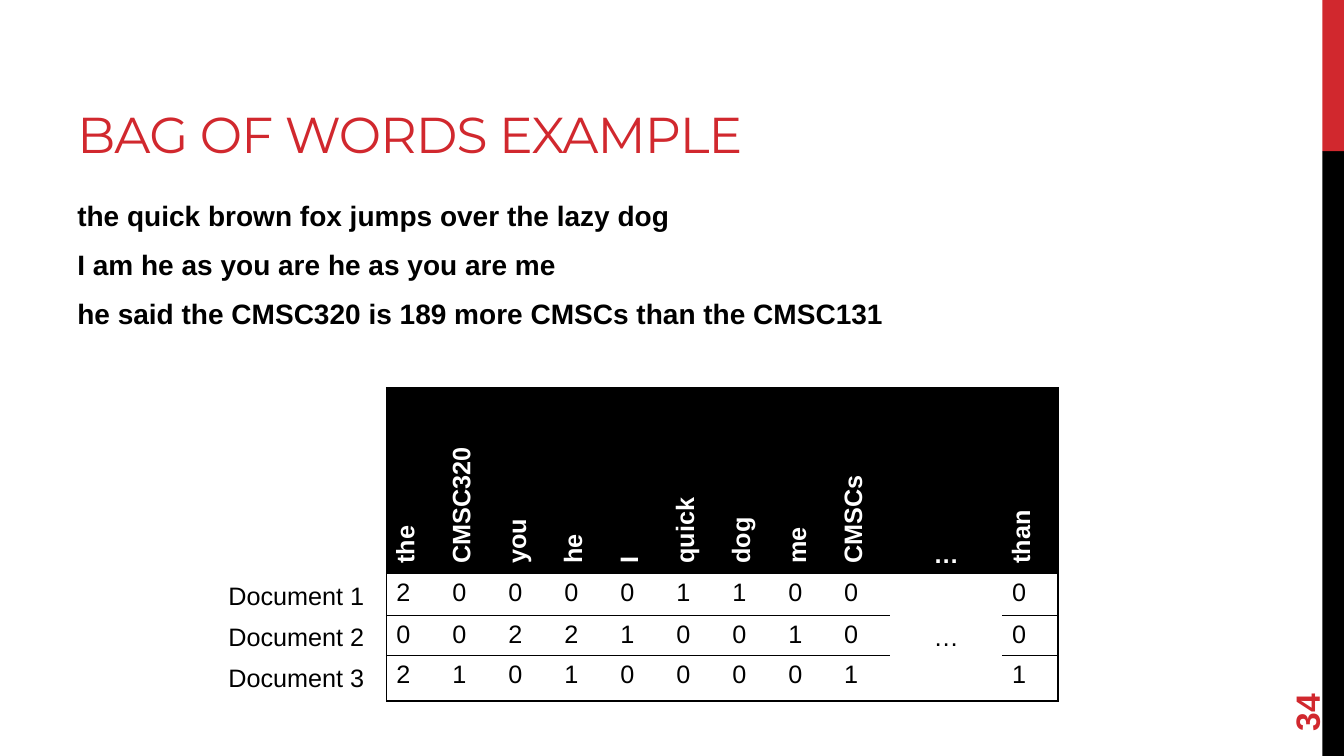
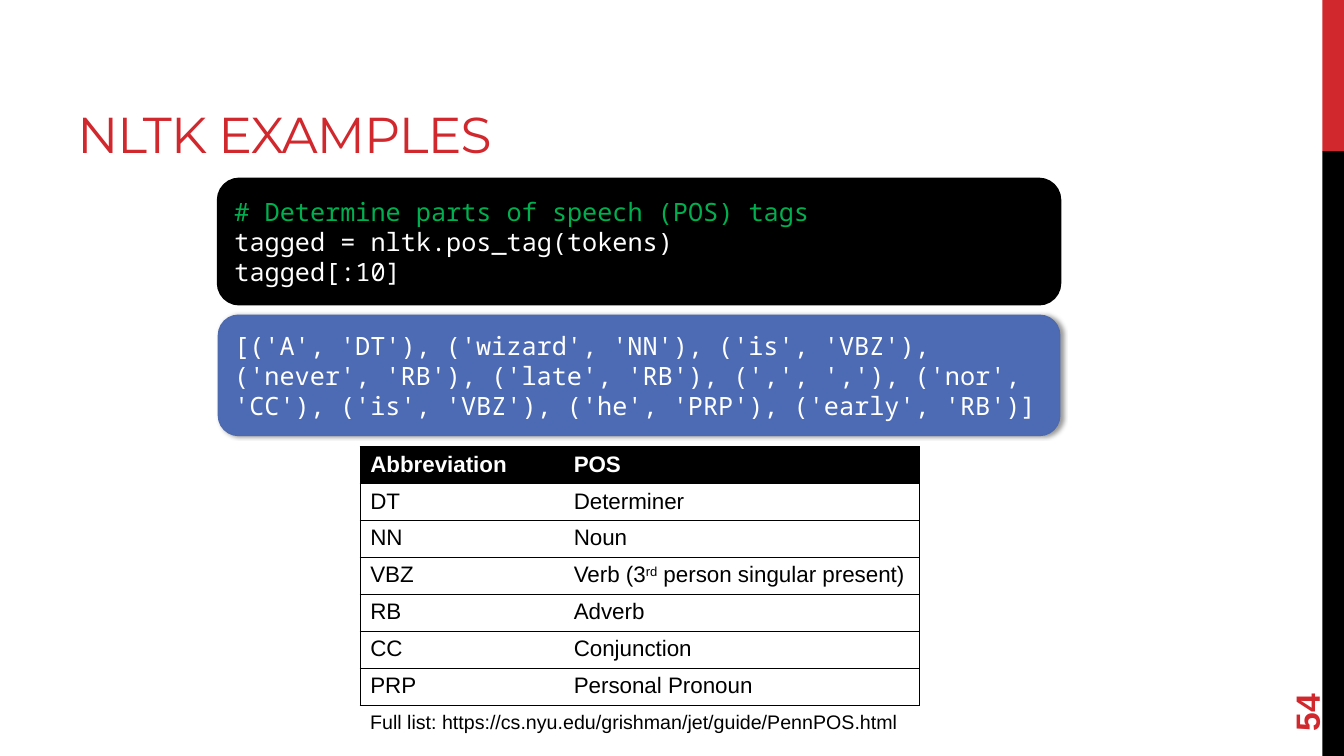
import pptx
import pptx.util
import pptx.dml.color
import pptx.enum.shapes
import pptx.enum.text
import pptx.oxml.ns
from lxml import etree

WIDE, HIGH = pptx.util.Inches(13.33), pptx.util.Inches(7.5)
HUES = {"red": "D1282E", "black": "000000", "white": "FFFFFF",
        "green": "00B050", "blue": "4D6BB5", "edge": "4E6AAE"}
SANS, HEAD, MONO = "Arial", "Montserrat", "Noto Sans Mono"
SHAPE = pptx.enum.shapes.MSO_SHAPE
ALIGN = pptx.enum.text.PP_ALIGN
ANCHOR = pptx.enum.text.MSO_ANCHOR
qn = pptx.oxml.ns.qn

TITLE = (5, 2.27, 63.3, 20)
BODY = (5, 25.6, 83.3, 63.7)
NUMBER = (91.8, 84.9, 10.8, 7.1)


def hue(name):
    return pptx.dml.color.RGBColor.from_string(HUES[name])


def area(x, y, w, h):
    """Turn percentages of the slide into lengths."""
    return [pptx.util.Emu(round(part * side / 100))
            for part, side in ((x, WIDE), (y, HIGH), (w, WIDE), (h, HIGH))]


def place(shape, box):
    shape.left, shape.top, shape.width, shape.height = area(*box)


def write(frame, lines, size, color="black", face=SANS, bold=False,
          align=ALIGN.LEFT):
    """Fill a text frame; text between carets is superscript."""
    for i, line in enumerate(lines):
        para = frame.add_paragraph() if i else frame.paragraphs[0]
        for j, part in enumerate(line.split("^")):
            run = para.add_run()
            run.text = part
            if j % 2:
                run._r.get_or_add_rPr().set("baseline", "30000")
        para.alignment = align
        font = para.font
        font.size, font.name, font.bold = pptx.util.Pt(size), face, bold
        font.color.rgb = hue(color)


def block(slide, kind, box, fill, line=None, width=1):
    shape = slide.shapes.add_shape(kind, *area(*box))
    shape.shadow.inherit = False
    shape.fill.solid()
    shape.fill.fore_color.rgb = hue(fill)
    if line:
        shape.line.color.rgb = hue(line)
        shape.line.width = pptx.util.Pt(width)
    else:
        shape.line.fill.background()
    return shape


def label(slide, box, text, size, **style):
    shape = slide.shapes.add_textbox(*area(*box))
    shape.text_frame.word_wrap = True
    write(shape.text_frame, [text], size, **style)
    return shape


def bands(deck, slide):
    """Put the side bands on the master, so that every slide shows them."""
    tree = deck.slide_master.placeholders[0].element.getparent()
    for y, h, fill in ((0, 20, "red"), (20, 80, "black")):
        band = block(slide, SHAPE.RECTANGLE, (98.4, y, 1.6, h), fill)
        tree.insert(2, band.element)


def start(deck, layout, title, number):
    """Add a slide with its title and page number."""
    slide = deck.slides.add_slide(deck.slide_layouts[layout])
    head = slide.shapes.title
    place(head, TITLE)
    frame = head.text_frame
    frame.auto_size = pptx.enum.text.MSO_AUTO_SIZE.NONE
    frame.vertical_anchor = ANCHOR.BOTTOM
    write(frame, [title], 36, "red", HEAD)
    for props in head.element.iter(qn("a:defRPr")):
        props.set("spc", "-60")
    page = label(slide, NUMBER, number, 24, color="red", bold=True)
    page.rotation = 270
    page.text_frame.vertical_anchor = ANCHOR.MIDDLE
    return slide


def listing(slide, lines):
    """Fill the body placeholder with plain bold lines."""
    body = slide.placeholders[1]
    place(body, BODY)
    frame = body.text_frame
    frame.auto_size = pptx.enum.text.MSO_AUTO_SIZE.NONE
    write(frame, lines, 20, bold=True)
    for i, para in enumerate(frame.paragraphs):
        para.space_before = pptx.util.Pt(5 if i else 0)
        para.space_after = pptx.util.Pt(6)
        props = para._p.get_or_add_pPr()
        props.set("marL", "0")
        props.set("indent", "0")
        props.find(qn("a:defRPr")).addprevious(
            etree.Element(qn("a:buNone")))


def border(cell, sides):
    """Draw the named sides (L, R, T, B) and clear the others."""
    props = cell._tc.get_or_add_tcPr()
    for i, side in enumerate("LRTB"):
        line = etree.Element(qn("a:ln" + side), w="12700")
        if side in sides:
            fill = etree.SubElement(line, qn("a:solidFill"))
            etree.SubElement(fill, qn("a:srgbClr"), val=HUES["black"])
        else:
            etree.SubElement(line, qn("a:noFill"))
        props.insert(i, line)


def grid(slide, box, data, cols, rows, size):
    """Add a ruled table with a black head; cols and rows are weights."""
    left, top, wide, high = area(*box)
    table = slide.shapes.add_table(len(rows), len(cols),
                                   left, top, wide, high).table
    table.horz_banding = False
    for col, share in zip(table.columns, cols):
        col.width = round(wide * share / sum(cols))
    for row, share in zip(table.rows, rows):
        row.height = round(high * share / sum(rows))
    for r, line in enumerate(data):
        for c, text in enumerate(line):
            cell = table.cell(r, c)
            cell.fill.solid()
            cell.fill.fore_color.rgb = hue("white" if r else "black")
            sides = "TB" + "L" * (c == 0) + "R" * (c == len(cols) - 1)
            border(cell, sides)
            if text:
                write(cell.text_frame, [text], size,
                      "black" if r else "white", bold=not r,
                      align=ALIGN.CENTER if text == "…" else ALIGN.LEFT)
    return table


def panel(slide, box, lines, fill, line, width):
    """Add a rounded box of code."""
    shape = block(slide, SHAPE.ROUNDED_RECTANGLE, box, fill, line, width)
    frame = shape.text_frame
    frame.word_wrap = True
    frame.vertical_anchor = ANCHOR.MIDDLE
    write(frame, lines, 18, "white", MONO)
    return shape


def shade(shape):
    """Give the shape a soft shadow to the right."""
    effects = next(shape.element.iter(qn("a:effectLst")))
    outer = etree.SubElement(effects, qn("a:outerShdw"), blurRad="39370",
                             dist="22860", dir="0", rotWithShape="0")
    color = etree.SubElement(outer, qn("a:srgbClr"), val=HUES["black"])
    etree.SubElement(color, qn("a:alpha"), val="40000")


def counts(slide):
    """Add the word count table and the names of its rows."""
    words = ["the", "CMSC320", "you", "he", "I", "quick", "dog", "me",
             "CMSCs", "…", "than"]
    data = [words, list("200001100…0"),
            [*"002210010", "", "0"], [*"210100001", "", "1"]]
    table = grid(slide, (28.75, 51.3, 50, 41.3), data,
                 [1] * 9 + [2, 1], [184, 41, 39, 45], 18)
    for c, word in enumerate(words):
        cell = table.cell(0, c)
        if word == "…":
            cell.vertical_anchor = ANCHOR.BOTTOM
            rest = table.cell(1, c)
            rest.merge(table.cell(3, c))
            rest.vertical_anchor = ANCHOR.MIDDLE
        else:
            cell._tc.get_or_add_tcPr().set("vert", "vert270")
    for i in range(3):
        label(slide, (16.25, 76.1 + 5.4 * i, 11.9, 5.3),
              f"Document {i + 1}", 18)


def tags(slide):
    """Add the tagging code, its result and the key to the tags."""
    code = panel(slide, (16.25, 23.7, 62.6, 16.5),
                 ["# Determine parts of speech (POS) tags",
                  "tagged = nltk.pos_tag(tokens)", "tagged[:10]"],
                 "black", "black", 2.25)
    code.text_frame.paragraphs[0].font.color.rgb = hue("green")
    result = ("[('A', 'DT'), ('wizard', 'NN'), ('is', 'VBZ'), "
              "('never', 'RB'), ('late', 'RB'), (',', ','), ('nor', 'CC'), "
              "('is', 'VBZ'), ('he', 'PRP'), ('early', 'RB')]")
    shade(panel(slide, (16.25, 41.7, 62.6, 15.9), [result],
                "blue", "edge", 1))
    data = [("Abbreviation", "POS"), ("DT", "Determiner"), ("NN", "Noun"),
            ("VBZ", "Verb (3^rd^ person singular present)"),
            ("RB", "Adverb"), ("CC", "Conjunction"),
            ("PRP", "Personal Pronoun")]
    grid(slide, (26.8, 59.1, 41.6, 34.2), data, [2.02, 3.53],
         [1] * len(data), 16)
    label(slide, (26.8, 93.3, 41.6, 4.5),
          "Full list: https://cs.nyu.edu/grishman/jet/guide/PennPOS.html", 14)


def main():
    deck = pptx.Presentation()
    deck.slide_width, deck.slide_height = WIDE, HIGH
    slide = start(deck, 1, "BAG OF WORDS EXAMPLE", "34")
    bands(deck, slide)
    listing(slide, ["the quick brown fox jumps over the lazy dog",
                    "I am he as you are he as you are me",
                    "he said the CMSC320 is 189 more CMSCs than the CMSC131"])
    counts(slide)
    tags(start(deck, 5, "NLTK EXAMPLES", "54"))
    deck.save("out.pptx")


if __name__ == "__main__":
    main()
